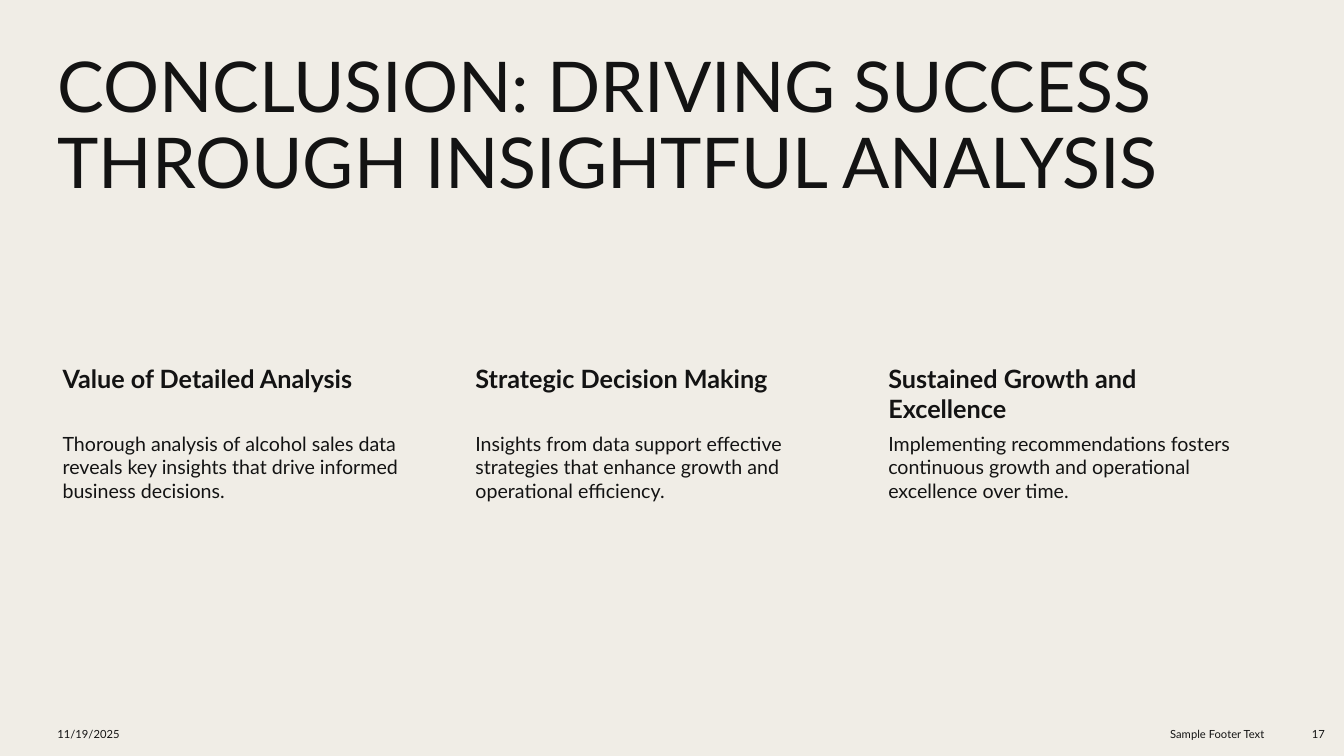
from pptx import Presentation
from pptx.dml.color import RGBColor
from pptx.enum.text import MSO_ANCHOR, PP_ALIGN
from pptx.util import Inches, Pt

# Grid, in inches
SLIDE_WIDTH, SLIDE_HEIGHT = 13.33, 7.5
MARGIN = 0.47
COLUMN_WIDTH, COLUMN_STEP = 3.72, 4.095
CONTENT_WIDTH = 2 * COLUMN_STEP + COLUMN_WIDTH
HEADING_TOP, HEADING_HEIGHT = 3.57, 0.69
BODY_TOP, BODY_HEIGHT = HEADING_TOP + HEADING_HEIGHT, 2.39
FOOTER_TOP, FOOTER_HEIGHT = 7.1, 0.37

# Style
FONT, INK, PAPER = "Lato", "131313", "F0EDE6"
DEFAULT_INSETS = (0.1, 0.05, 0.1, 0.05)
HEADING_INSETS = (0.15, 0.03, 0.03, 0.03)
BODY_INSETS = (0.15, 0.02, 0.02, 0.02)

TITLE = "CONCLUSION: DRIVING SUCCESS THROUGH INSIGHTFUL ANALYSIS"
COLUMNS = [
    ("Value of Detailed Analysis",
     "Thorough analysis of alcohol sales data reveals key insights "
     "that drive informed business decisions."),
    ("Strategic Decision Making",
     "Insights from data support effective strategies that enhance "
     "growth and operational efficiency."),
    ("Sustained Growth and Excellence",
     "Implementing recommendations fosters continuous growth and "
     "operational excellence over time."),
]
FOOTERS = [
    ("11/19/2025", MARGIN, 3.11, PP_ALIGN.LEFT),
    ("Sample Footer Text", 9.73, 2.91, PP_ALIGN.RIGHT),
    ("17", 12.74, 0.5, PP_ALIGN.RIGHT),
]


def color(value):
    return RGBColor.from_string(value)


def set_attributes(target, values):
    for name, value in values.items():
        setattr(target, name, value)


def add_text(slide, text, box, size, insets=DEFAULT_INSETS, bold=False,
             anchor=MSO_ANCHOR.TOP, **paragraph_format):
    frame = slide.shapes.add_textbox(*map(Inches, box)).text_frame
    sides = ("margin_left", "margin_top", "margin_right", "margin_bottom")
    set_attributes(frame, {"word_wrap": True, "vertical_anchor": anchor,
                           **dict(zip(sides, map(Inches, insets)))})
    paragraph = frame.paragraphs[0]
    set_attributes(paragraph, paragraph_format)
    run = paragraph.add_run()
    run.text = text
    set_attributes(run.font, {"name": FONT, "size": Pt(size), "bold": bold})
    run.font.color.rgb = color(INK)


def add_column(slide, index, heading, body):
    left = MARGIN + index * COLUMN_STEP
    add_text(slide, heading, (left, HEADING_TOP, COLUMN_WIDTH, HEADING_HEIGHT),
             18, HEADING_INSETS, bold=True)
    add_text(slide, body, (left, BODY_TOP, COLUMN_WIDTH, BODY_HEIGHT),
             14, BODY_INSETS)


def add_footer(slide, text, left, width, alignment):
    add_text(slide, text, (left, FOOTER_TOP, width, FOOTER_HEIGHT), 8,
             anchor=MSO_ANCHOR.MIDDLE, alignment=alignment)


def main():
    presentation = Presentation()
    set_attributes(presentation, {"slide_width": Inches(SLIDE_WIDTH),
                                  "slide_height": Inches(SLIDE_HEIGHT)})
    slide = presentation.slides.add_slide(presentation.slide_layouts[6])
    slide.background.fill.solid()
    slide.background.fill.fore_color.rgb = color(PAPER)

    # Title
    add_text(slide, TITLE, (MARGIN, MARGIN, CONTENT_WIDTH, 1.78), 50,
             line_spacing=0.9)

    # Three takeaways
    for index, (heading, body) in enumerate(COLUMNS):
        add_column(slide, index, heading, body)

    # Date, footer and slide number
    for footer in FOOTERS:
        add_footer(slide, *footer)

    presentation.save("out.pptx")


if __name__ == "__main__":
    main()
